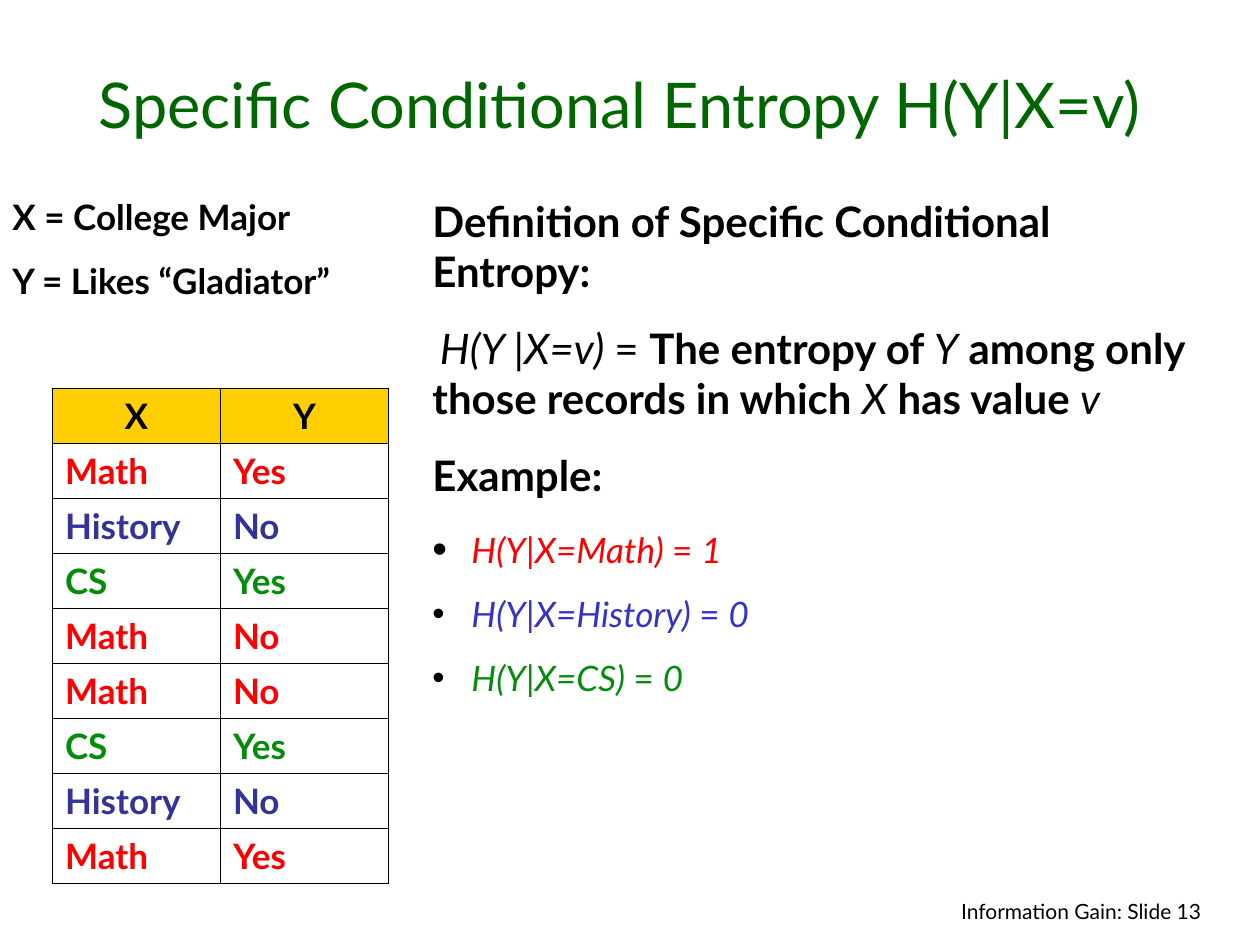
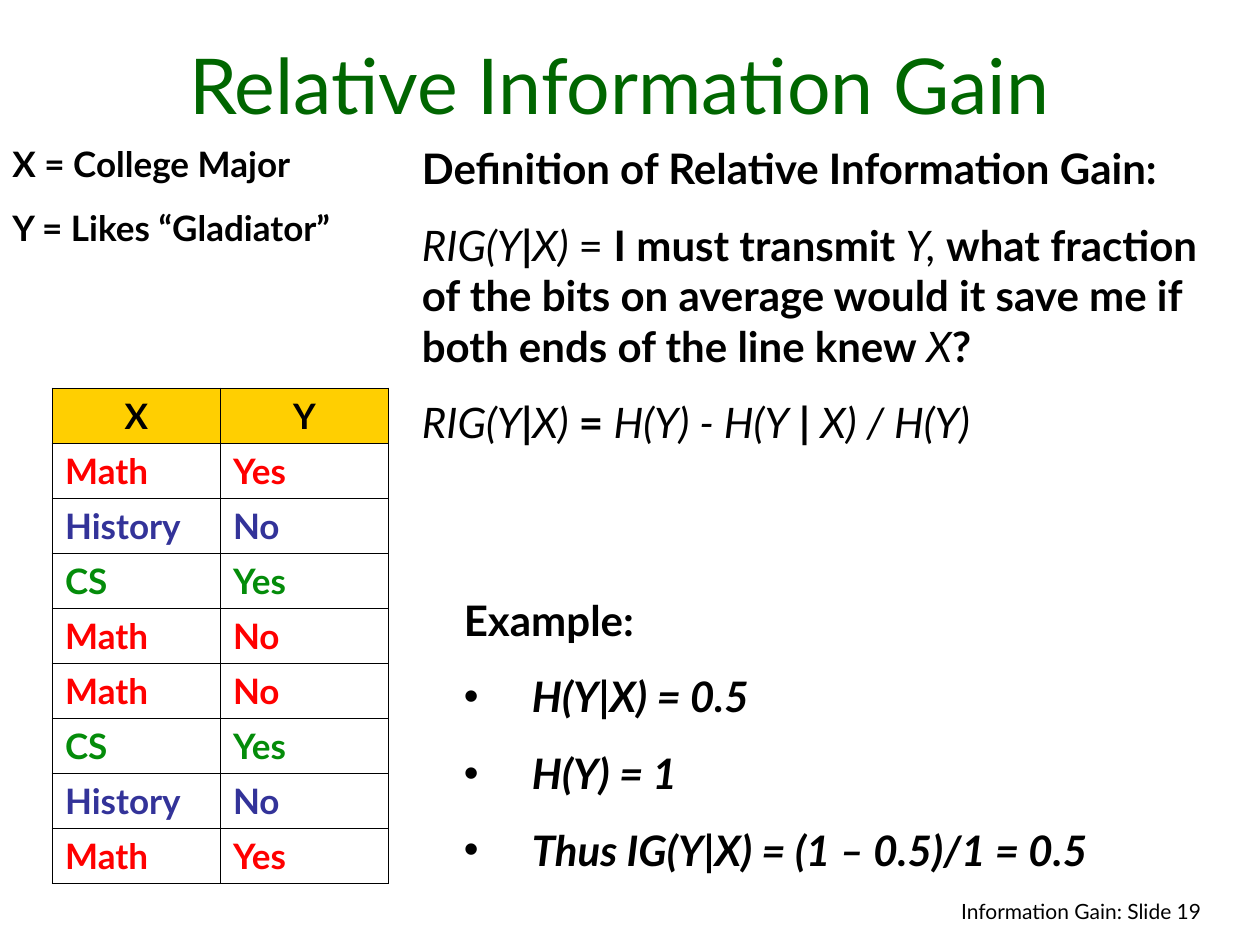
from dataclasses import dataclass

from lxml import etree
from pptx import Presentation
from pptx.dml.color import RGBColor
from pptx.enum.text import MSO_ANCHOR, PP_ALIGN
from pptx.oxml.ns import qn
from pptx.util import Inches, Pt

LEFT, CENTER, RIGHT = PP_ALIGN.LEFT, PP_ALIGN.CENTER, PP_ALIGN.RIGHT
TOP, BOTTOM = MSO_ANCHOR.TOP, MSO_ANCHOR.BOTTOM
COLS, ROWS = 120, 90


@dataclass(frozen=True)
class Theme:
    """Font, colours and type sizes shared by the slides."""
    font: str = "Lato"
    ink: str = "000000"
    title: str = "006600"
    header: str = "FFCF01"
    paper: str = "FFFFFF"
    red: str = "FF0000"
    navy: str = "333399"
    blue: str = "3333CC"
    green: str = "048C0A"
    title_wide: int = 36
    title_size: int = 44
    body: int = 24
    small: int = 20
    footer: int = 12
    outer_line: float = 1.08
    inner_line: float = 0.45


@dataclass(frozen=True)
class Para:
    """A paragraph: (style, text) runs, with b and i as style letters."""
    runs: tuple
    size: int = Theme.body
    color: str = Theme.ink
    before: float = 15
    align: int = LEFT
    indent: float = 0
    first: float = 0
    bullet: bool = False
    bullet_pct: int = 100


THEME = Theme()
MAJOR_COLORS = {"Math": THEME.red, "History": THEME.navy, "CS": THEME.green}
RECORDS = [("Math", "Yes"), ("History", "No"), ("CS", "Yes"), ("Math", "No"),
           ("Math", "No"), ("CS", "Yes"), ("History", "No"), ("Math", "Yes")]


class Deck:
    """Draws elements on the current slide in grid units."""

    def __init__(self, theme):
        self.theme = theme
        self.prs = Presentation()
        self.prs.slide_width, self.prs.slide_height = Inches(10), Inches(7.5)
        self.s = None

    def box(self, x, y, w, h):
        """Turn grid columns and rows into lengths."""
        col, row = self.prs.slide_width / COLS, self.prs.slide_height / ROWS
        return round(x * col), round(y * row), round(w * col), round(h * row)

    def new_slide(self, number):
        """Start a slide with its footer."""
        self.s = self.prs.slides.add_slide(self.prs.slide_layouts[6])
        footer = Para((("", f"Information Gain: Slide {number}"),),
                      self.theme.footer, align=RIGHT)
        self.text((68.6, 85, 47, 4), [footer])

    def bullet(self, p, pct):
        """Give a paragraph a round bullet in the ink colour."""
        pPr = p._p.get_or_add_pPr()
        clr = etree.SubElement(pPr, qn("a:buClr"))
        etree.SubElement(clr, qn("a:srgbClr"), val=self.theme.ink)
        etree.SubElement(pPr, qn("a:buSzPct"), val=str(pct * 1000))
        etree.SubElement(pPr, qn("a:buFont"), typeface="Arial")
        etree.SubElement(pPr, qn("a:buChar"), char="•")

    def add_paras(self, tf, paras):
        """Fill a text frame run by run."""
        for n, para in enumerate(paras):
            p = tf.add_paragraph() if n else tf.paragraphs[0]
            if para.bullet:
                self.bullet(p, para.bullet_pct)
            pPr = p._p.get_or_add_pPr()
            pPr.set("marL", str(Inches(para.indent)))
            pPr.set("indent", str(Inches(para.first)))
            p.alignment = para.align
            p.space_before = Pt(para.before if n else 0)
            for style, text in para.runs:
                r = p.add_run()
                r.text = text
                r.font.name, r.font.size = self.theme.font, Pt(para.size)
                r.font.bold, r.font.italic = "b" in style, "i" in style
                r.font.color.rgb = RGBColor.from_string(para.color)

    def text(self, place, paras, anchor=TOP):
        """Add a wrapped text box."""
        tf = self.s.shapes.add_textbox(*self.box(*place)).text_frame
        tf.word_wrap, tf.vertical_anchor = True, anchor
        self.add_paras(tf, paras)

    def title(self, text, size, rows):
        """Add the centred slide title."""
        self.text((3, 3, 112, rows),
                  [Para((("", text),), size, self.theme.title, align=CENTER)], BOTTOM)

    def variables(self, row):
        """Add the meaning of X and Y."""
        lines = ("X = College Major", "Y = Likes “Gladiator”")
        self.text((0, row, 39, 17.4), [Para((("b", t),), self.theme.small, before=12.5)
                                       for t in lines])

    def border(self, cell, side, width):
        """Draw one side of a cell."""
        ln = etree.SubElement(cell._tc.get_or_add_tcPr(), qn("a:ln" + side),
                              w=str(Pt(width)))
        fill = etree.SubElement(ln, qn("a:solidFill"))
        etree.SubElement(fill, qn("a:srgbClr"), val=self.theme.ink)

    def records(self):
        """Add the table of majors and answers."""
        t, rows = self.theme, [("X", "Y")] + RECORDS
        tbl = self.s.shapes.add_table(len(rows), 2,
                                      *self.box(5, 37, 32, 5.24 * len(rows))).table
        for i, row in enumerate(rows):
            for j, value in enumerate(row):
                cell = tbl.cell(i, j)
                edges = {"L": j == 0, "R": j == 1, "T": i == 0, "B": i == len(rows) - 1}
                for side, is_outer in edges.items():
                    self.border(cell, side, t.outer_line if is_outer else t.inner_line)
                cell.fill.solid()
                cell.fill.fore_color.rgb = RGBColor.from_string(
                    t.paper if i else t.header)
                self.add_paras(cell.text_frame, [
                    Para((("b", value),), t.small, MAJOR_COLORS.get(row[0], t.ink),
                         align=LEFT if i else CENTER)])


def specific_entropy(deck):
    """Build the slide on specific conditional entropy."""
    t = deck.theme
    deck.new_slide(13)
    paras = [
        Para((("b", "Definition of Specific Conditional Entropy:"),)),
        Para((("i", "H(Y "), ("", "|"), ("i", "X=v) "), ("", "= "),
              ("b", "The entropy of "), ("i", "Y"),
              ("b", " among only those records in which "), ("i", "X"),
              ("b", " has value "), ("i", "v")), first=0.06),
        Para((("b", "Example:"),)),
    ]
    examples = [("Math", "1", t.red, 16.5, 120), ("History", "0", t.blue, 12.5, 100),
                ("CS", "0", t.green, 12.5, 100)]
    for major, value, color, before, pct in examples:
        runs = (("i", f"H(Y|X={major}) "), ("", "= "), ("i", value))
        paras.append(Para(runs, t.small, color, before, indent=0.31, first=-0.31,
                          bullet=True, bullet_pct=pct))
    deck.text((40, 18, 74, 54), paras)
    deck.variables(18)
    deck.records()
    deck.title("Specific Conditional Entropy H(Y|X=v)", t.title_wide, 11)


def relative_gain(deck):
    """Build the slide on relative information gain."""
    deck.new_slide(19)
    deck.title("Relative Information Gain", deck.theme.title_size, 10)
    rig = (("i", "RIG(Y"), ("b", "|"))
    deck.text((39, 13, 78, 40), [
        Para((("b", "Definition of Relative Information Gain:"),)),
        Para(rig + (("i", "X) "), ("", "= "), ("b", "I must transmit "), ("i", "Y, "),
                    ("b", "what fraction of the bits on average would it save me if "
                          "both ends of the line knew "), ("i", "X"), ("b", "?"))),
        Para(rig + (("i", "X)"), ("b", " = "), ("i", "H(Y) - H(Y"), ("b", " | "),
                    ("i", "X) / H(Y)"))),
    ])
    deck.variables(13)
    steps = [(("bi", "H(Y"), ("b", "|"), ("bi", "X) = 0.5")),
             (("bi", "H(Y) = 1"),),
             (("bi", "Thus IG(Y"), ("b", "|"), ("bi", "X) = (1 – 0.5)/1 = 0.5"))]
    deck.text((43, 56, 77, 28), [Para((("b", "Example:"),))] + [
        Para(runs, indent=0.54, first=-0.54, bullet=True) for runs in steps])
    deck.records()


def main():
    """Build and save the deck."""
    deck = Deck(THEME)
    specific_entropy(deck)
    relative_gain(deck)
    deck.prs.save("out.pptx")


if __name__ == "__main__":
    main()
